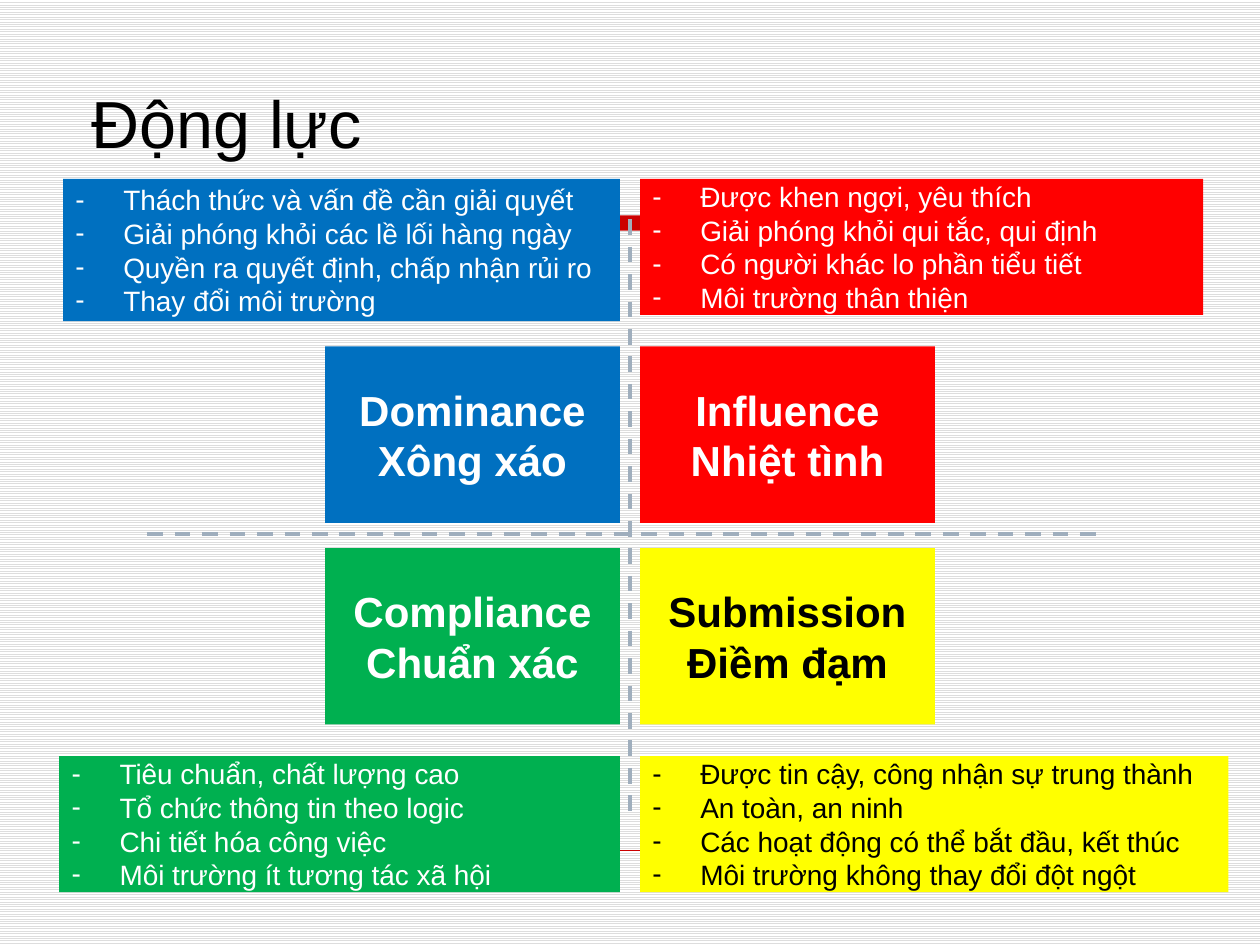
from lxml.etree import SubElement as Sub
from pptx import Presentation
from pptx.dml.color import RGBColor as RGB
from pptx.enum.dml import MSO_LINE as Dash, MSO_PATTERN as Pat
from pptx.enum.shapes import MSO_CONNECTOR as Con, MSO_SHAPE as Kind
from pptx.enum.text import MSO_ANCHOR as Anchor, PP_ALIGN as Align
from pptx.oxml.ns import qn
from pptx.util import Inches, Pt

THEME = {
    "font": "Arial", "title": 38, "name": 24, "item": 16,
    "black": "000000", "white": "FFFFFF", "stripe": "DDDDDD",
    "accent": "CC0000", "axis": "9FAEBD",
    "blue": "0070C0", "red": "FF0000", "green": "00B050", "yellow": "FFFF00",
}

TITLE = "Động lực"
STYLES = [
    {"fill": "blue", "ink": "white", "names": ["Dominance", "Xông xáo"],
     "box": (0.5, 1.42, 4.42, 1.13),
     "items": ["Thách thức và vấn đề cần giải quyết",
               "Giải phóng khỏi các lề lối hàng ngày",
               "Quyền ra quyết định, chấp nhận rủi ro",
               "Thay đổi môi trường"]},
    {"fill": "red", "ink": "white", "names": ["Influence", "Nhiệt tình"],
     "box": (5.08, 1.42, 4.47, 1.08),
     "items": ["Được khen ngợi, yêu thích",
               "Giải phóng khỏi qui tắc, qui định",
               "Có người khác lo phần tiểu tiết",
               "Môi trường thân thiện"]},
    {"fill": "green", "ink": "white", "names": ["Compliance", "Chuẩn xác"],
     "box": (0.47, 6, 4.45, 1.08),
     "items": ["Tiêu chuẩn, chất lượng cao",
               "Tổ chức thông tin theo logic",
               "Chi tiết hóa công việc",
               "Môi trường ít tương tác xã hội"]},
    {"fill": "yellow", "ink": "black", "names": ["Submission", "Điềm đạm"],
     "box": (5.08, 6, 4.67, 1.08),
     "items": ["Được tin cậy, công nhận sự trung thành",
               "An toàn, an ninh",
               "Các hoạt động có thể bắt đầu, kết thúc",
               "Môi trường không thay đổi đột ngột"]},
]
LEFT, TOP, WIDE, HIGH = 2.58, 2.75, 2.34, 1.4
STEP_X, STEP_Y = 2.5, 1.6
INDENT = 0.38


def color(name):
    return RGB.from_string(THEME[name])


def write(shape, lines, size, ink, align=Align.LEFT, bold=False,
          anchor=Anchor.MIDDLE, mark=None):
    frame = shape.text_frame
    frame.word_wrap = True
    frame.vertical_anchor = anchor
    for i, line in enumerate(lines):
        para = frame.add_paragraph() if i else frame.paragraphs[0]
        para.alignment = align
        run = para.add_run()
        run.text = line
        font = run.font
        font.name, font.size, font.bold = THEME["font"], Pt(THEME[size]), bold
        font.color.rgb = color(ink)
        if mark:
            props = para._p.get_or_add_pPr()
            props.set("marL", str(Inches(INDENT)))
            props.set("indent", str(-Inches(INDENT)))
            Sub(props, qn("a:buFont"), typeface=THEME["font"])
            Sub(props, qn("a:buChar"), char=mark)


def block(slide, box, fill):
    shape = slide.shapes.add_shape(Kind.RECTANGLE, *map(Inches, box))
    shape.shadow.inherit = False
    shape.fill.solid()
    shape.fill.fore_color.rgb = color(fill)
    shape.line.fill.background()
    return shape


def rule(slide, ends, ink, width, dash=None):
    line = slide.shapes.add_connector(Con.STRAIGHT, *map(Inches, ends))
    line.line.color.rgb = color(ink)
    line.line.width = Pt(width)
    if dash:
        line.line.dash_style = dash
    Sub(line._element.spPr, qn("a:effectLst"))


def main():
    deck = Presentation()
    deck.slide_width, deck.slide_height = Inches(10), Inches(7.5)
    slide = deck.slides.add_slide(deck.slide_layouts[6])
    back = slide.background.fill
    back.patterned()
    back.pattern = Pat.LIGHT_HORIZONTAL
    back.fore_color.rgb = color("stripe")
    back.back_color.rgb = color("white")

    block(slide, (0.67, 1.71, 5.09, 0.12), "accent")
    rule(slide, (0.67, 6.75, 9.33, 6.75), "accent", 0.25)
    title = slide.shapes.add_textbox(*map(Inches, (0.63, 0, 8.75, 1.33)))
    write(title, [TITLE], "title", "black", anchor=Anchor.BOTTOM)

    for i, style in enumerate(STYLES):
        row, col = divmod(i, 2)
        box = (LEFT + col * STEP_X, TOP + row * STEP_Y, WIDE, HIGH)
        write(block(slide, box, style["fill"]), style["names"], "name",
              style["ink"], Align.CENTER, True)

    for ends in ((5, 1.74, 5, 6.52), (1.17, 4.24, 8.75, 4.24)):
        rule(slide, ends, "axis", 2.25, Dash.DASH)

    for style in STYLES:
        write(block(slide, style["box"], style["fill"]), style["items"],
              "item", style["ink"], mark="-")

    deck.save("out.pptx")


if __name__ == "__main__":
    main()
